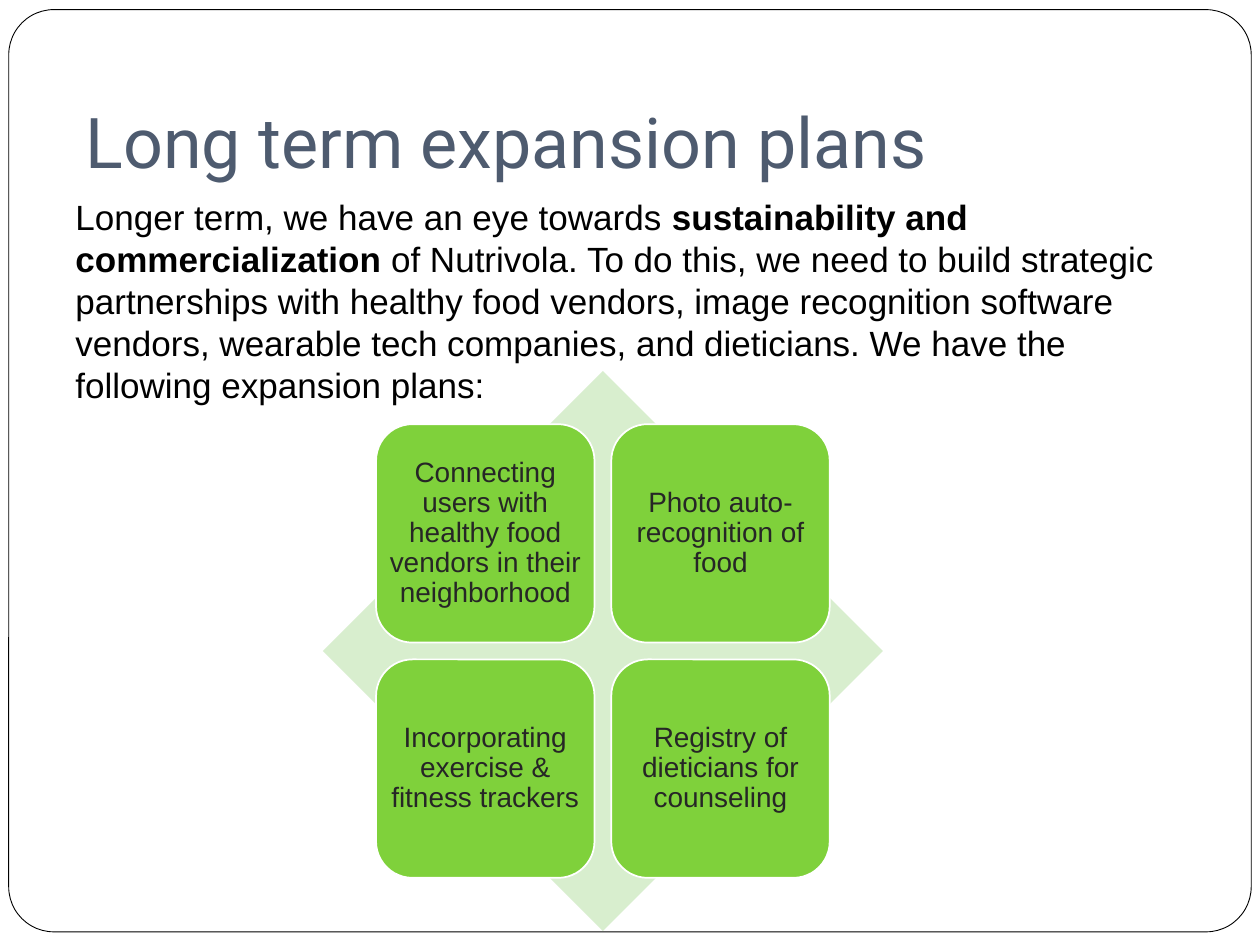
from pptx import Presentation
from pptx.dml.color import RGBColor
from pptx.enum.shapes import MSO_SHAPE
from pptx.enum.text import MSO_ANCHOR, PP_ALIGN
from pptx.util import Pt

ROUNDED, DIAMOND = MSO_SHAPE.ROUNDED_RECTANGLE, MSO_SHAPE.DIAMOND
TOP, MIDDLE, BOTTOM = MSO_ANCHOR.TOP, MSO_ANCHOR.MIDDLE, MSO_ANCHOR.BOTTOM
LEFT, CENTER = PP_ALIGN.LEFT, PP_ALIGN.CENTER

INTRO = [
    ("Longer term, we have an eye towards ", False),
    ("sustainability and commercialization", True),
    (" of Nutrivola. To do this, we need to build strategic partnerships with "
     "healthy food vendors, image recognition software vendors, wearable tech "
     "companies, and dieticians. We have the following expansion plans:", False),
]
PLANS = [
    "Connecting users with healthy food vendors in their neighborhood",
    "Photo auto-recognition of food",
    "Incorporating exercise & fitness trackers",
    "Registry of dieticians for counseling",
]


def color(value):
    return RGBColor.from_string(value)


def add_shape(page, kind, box, fill, line=None, width=1):
    shape = page.shapes.add_shape(kind, *map(Pt, box))
    shape.shadow.inherit = False
    shape.fill.solid()
    shape.fill.fore_color.rgb = color(fill)
    if line:
        shape.line.color.rgb = color(line)
        shape.line.width = Pt(width)
    else:
        shape.line.fill.background()
    return shape


def write(shape, spans, size, font, ink, anchor, align=LEFT, insets=(7.2, 3.6, 7.2, 3.6)):
    frame = shape.text_frame
    frame.word_wrap = True
    frame.vertical_anchor = anchor
    (frame.margin_left, frame.margin_top,
     frame.margin_right, frame.margin_bottom) = map(Pt, insets)
    para = frame.paragraphs[0]
    para.alignment = align
    for text, bold in spans:
        span = para.add_run()
        span.text = text
        span.font.size = Pt(size)
        span.font.name = font
        span.font.bold = bold
        span.font.color.rgb = color(ink)
    return para


def add_border(page, box):
    border = add_shape(page, ROUNDED, box, "FFFFFF", "000000", 0.5)
    border.adjustments[0] = 0.049


def add_title(page, box):
    title = page.shapes.add_textbox(*map(Pt, box))
    write(title, [("Long term expansion plans", False)], 40, "Roboto", "4E5B6F",
          BOTTOM, insets=(7.2, 3.6, 7.2, 7.2))


def add_intro(page, box):
    intro = page.shapes.add_textbox(*map(Pt, box))
    write(intro, INTRO, 20, "Arial", "000000", TOP)


def add_matrix(page, box):
    """Diamond with a two by two grid of plan tiles centred on it."""
    left, top, side, _ = box
    add_shape(page, DIAMOND, box, "D8EECE")
    tile = side * 0.39
    gap = side * 0.03
    margin = (side - 2 * tile - gap) / 2
    for index, plan in enumerate(PLANS):
        row, column = divmod(index, 2)
        x = left + margin + column * (tile + gap)
        y = top + margin + row * (tile + gap)
        card = add_shape(page, ROUNDED, (x, y, tile, tile), "7FD13B", "FFFFFF")
        para = write(card, [(plan, False)], 16, "Arial", "262626",
                     MIDDLE, CENTER, insets=(0, 0, 0, 0))
        para.line_spacing = 0.9


def main():
    deck = Presentation()
    deck.slide_width, deck.slide_height = Pt(720), Pt(540)
    page = deck.slides.add_slide(deck.slide_layouts[6])
    add_border(page, (5, 5.5, 710, 527))
    add_title(page, (42, 21.6, 654, 90))
    add_intro(page, (36, 108, 660, 152.6))
    add_matrix(page, (184.5, 212, 320, 320))
    deck.save("out.pptx")


if __name__ == "__main__":
    main()
